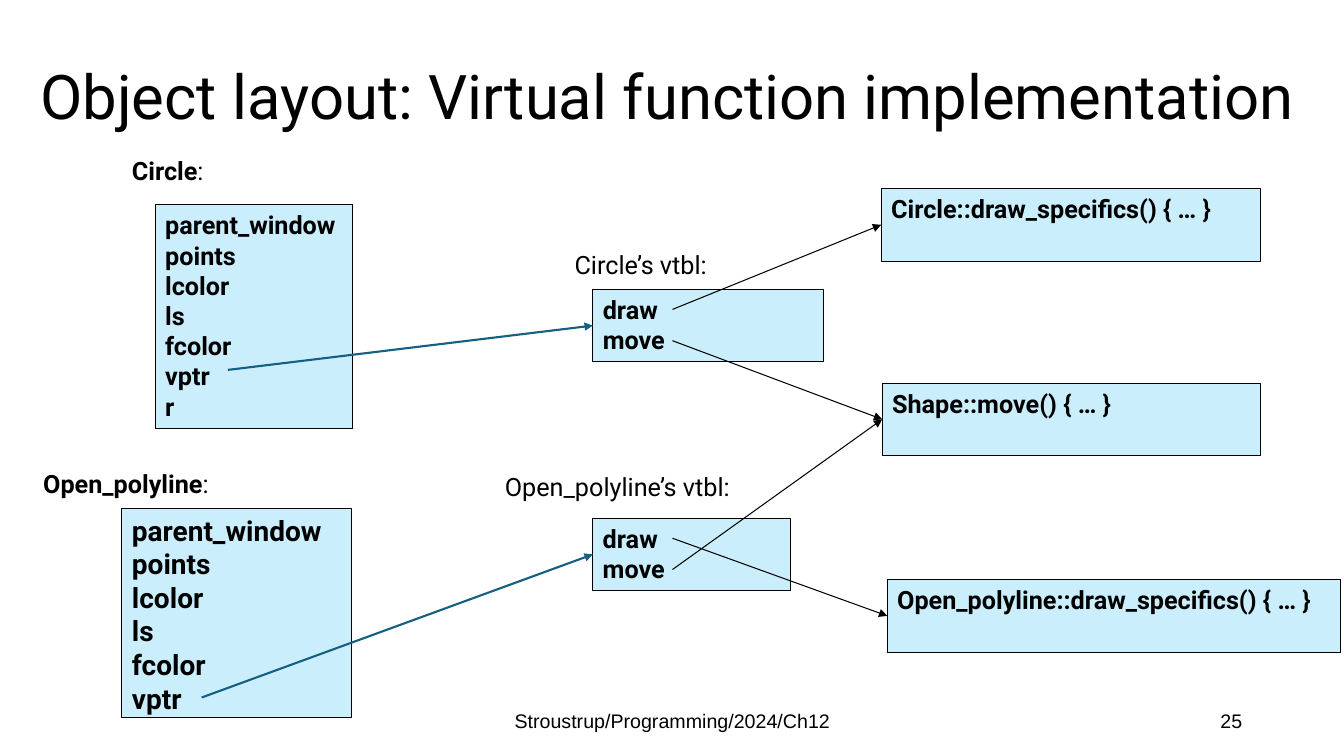
from dataclasses import dataclass

from lxml import etree
from pptx import Presentation
from pptx.dml.color import RGBColor
from pptx.enum.shapes import MSO_CONNECTOR, MSO_SHAPE
from pptx.enum.text import MSO_ANCHOR, MSO_AUTO_SIZE, PP_ALIGN
from pptx.oxml.ns import qn
from pptx.util import Pt

RECT, LINE = MSO_SHAPE.RECTANGLE, MSO_CONNECTOR.STRAIGHT
TOP, MIDDLE = MSO_ANCHOR.TOP, MSO_ANCHOR.MIDDLE
LEFT, CENTER, RIGHT = PP_ALIGN.LEFT, PP_ALIGN.CENTER, PP_ALIGN.RIGHT
FIXED, GROW = MSO_AUTO_SIZE.NONE, MSO_AUTO_SIZE.SHAPE_TO_FIT_TEXT
SCALE = 9144


@dataclass(frozen=True)
class Theme:
    """Colours, fonts and type sizes of the slide."""
    ink: str = "000000"
    fill: str = "CAEEFB"
    link: str = "156082"
    font: str = "Roboto"
    plain: str = "Arial"
    title: int = 44
    large: int = 20
    body: int = 18
    small: int = 14
    thin: float = 0.75
    thick: float = 1.5


THEME = Theme()
FIELDS = ["parent_window", "points", "lcolor", "ls", "fcolor", "vptr"]


def px(*vals):
    """Turn px lengths into a list of EMU lengths."""
    return [v * SCALE for v in vals]


def write(shape, lines, size=THEME.body, font=THEME.font, bold=False, tail="",
          align=LEFT, anchor=TOP, wrap=True, fit=FIXED, space=None):
    """Fill a shape with one paragraph per line; tail is a regular last run."""
    frame = shape.text_frame
    frame.word_wrap, frame.auto_size = wrap, fit
    frame.vertical_anchor = anchor
    for i, line in enumerate(lines):
        para = frame.add_paragraph() if i else frame.paragraphs[0]
        para.alignment, para.line_spacing = align, space
        for text, heavy in ((line, bold), (tail, False)):
            if text:
                run = para.add_run()
                run.text = text
                run.font.name, run.font.size = font, Pt(size)
                run.font.bold = heavy
                run.font.color.rgb = RGBColor.from_string(THEME.ink)


def label(slide, box, text, **form):
    """Place a text box that grows with its single line."""
    write(slide.shapes.add_textbox(*px(*box)), [text],
          wrap=False, fit=GROW, **form)


def panel(slide, box, lines, size=THEME.body):
    """Place a filled rectangle with bold lines of code."""
    shape = slide.shapes.add_shape(RECT, *px(*box))
    shape.shadow.inherit = False
    shape.fill.solid()
    shape.fill.fore_color.rgb = RGBColor.from_string(THEME.fill)
    shape.line.color.rgb = RGBColor.from_string(THEME.ink)
    shape.line.width = Pt(THEME.thin)
    write(shape, lines, size, bold=True)


def wire(slide, start, end, color=THEME.ink, width=THEME.thin):
    """Draw an arrow from start to end."""
    link = slide.shapes.add_connector(LINE, *px(*start, *end))
    link.line.color.rgb = RGBColor.from_string(color)
    link.line.width = Pt(width)
    etree.SubElement(link.line._get_or_add_ln(), qn("a:tailEnd"), type="triangle")
    etree.SubElement(link._element.spPr, qn("a:effectLst"))


def port(box):
    """Give the middle of the left edge of a box."""
    x, y, _, high = box
    return x, y + high // 2


def head(slide, box, text):
    """Move and fill the title placeholder."""
    title = slide.shapes.title
    title.left, title.top, title.width, title.height = px(*box)
    write(title, [text], THEME.title, align=CENTER, anchor=MIDDLE, space=0.9)


def layout(slide, box, name, tag, fields, size, slot, table):
    """Show an object's fields, its name, and its pointer to a table."""
    x, y, _, _ = box
    dx, dy, wide = tag
    panel(slide, box, fields, size)
    label(slide, (x + dx, y + dy, wide, 40), name, bold=True, tail=":")
    wire(slide, (x + slot[0], y + slot[1]), port(table), THEME.link, THEME.thick)


def vtable(slide, box, name, tag, goals):
    """Show a virtual table with an arrow from each entry to its function."""
    x, y, _, _ = box
    dx, dy, wide = tag
    panel(slide, box, ["draw", "move"])
    label(slide, (x + dx, y + dy, wide, 40), name)
    for row, goal in enumerate(goals):
        wire(slide, (x + 79, y + 20 + 31 * row), port(goal))


def foot(slide, box, text, page):
    """Write the footer line and the page number."""
    x, y, wide, high = box
    parts = (((x, y, 450, high), text, CENTER),
             ((x + wide - 300, y, 300, high), page, RIGHT))
    for area, words, align in parts:
        write(slide.shapes.add_textbox(*px(*area)), [words], THEME.small,
              THEME.plain, align=align, anchor=MIDDLE)


def main():
    """Build the slide and save it."""
    deck = Presentation()
    deck.slide_width, deck.slide_height = px(1333, 750)
    slide = deck.slides.add_slide(deck.slide_layouts[5])
    head(slide, (25, 53, 1275, 91), "Object layout: Virtual function implementation")
    foot(slide, (442, 695, 800, 40), "Stroustrup/Programming/2024/Ch12", "25")

    ring, move, poly = (874, 187, 376, 72), (875, 380, 375, 72), (880, 575, 450, 72)
    for box, name in ((ring, "Circle::draw_specifics"), (move, "Shape::move"),
                      (poly, "Open_polyline::draw_specifics")):
        panel(slide, box, [name + "() { … }"])

    upper, lower = (588, 287, 229, 72), (588, 514, 196, 72)
    vtable(slide, upper, "Circle’s vtbl:", (-28, -45, 155), (ring, move))
    vtable(slide, lower, "Open_polyline’s vtbl:", (-97, -51, 247), (poly, move))

    layout(slide, (154, 203, 196, 222), "Circle", (-33, -54, 97),
           FIELDS + ["r"], THEME.body, (72, 164), upper)
    layout(slide, (121, 504, 228, 208), "Open_polyline", (-88, -44, 193),
           FIELDS, THEME.large, (79, 188), lower)
    deck.save("out.pptx")


if __name__ == "__main__":
    main()
